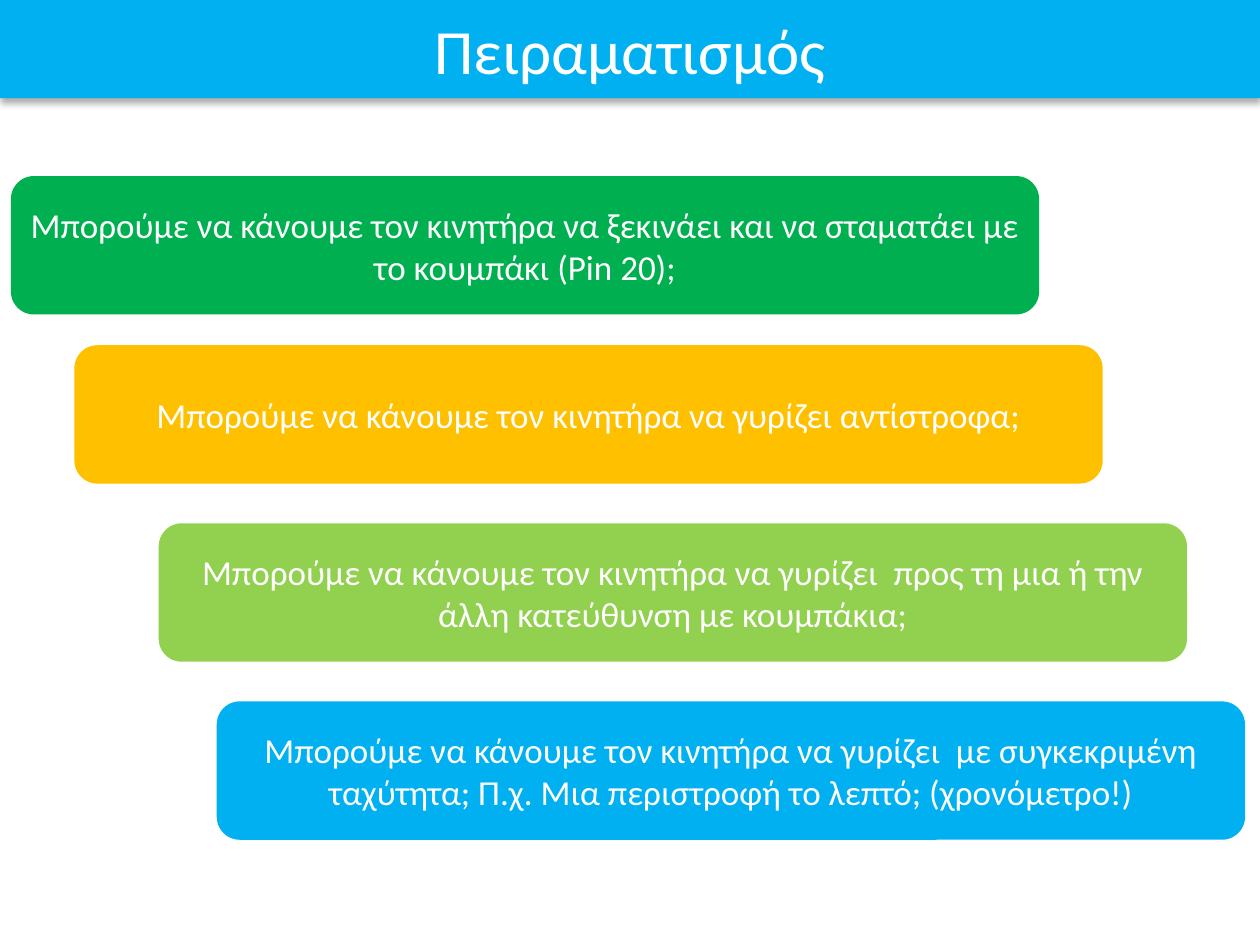
from lxml.etree import SubElement
from pptx import Presentation
from pptx.dml.color import RGBColor
from pptx.enum.shapes import MSO_SHAPE
from pptx.enum.text import MSO_ANCHOR, PP_ALIGN
from pptx.oxml.ns import qn
from pptx.util import Cm, Pt

SLIDE_WIDTH, SLIDE_HEIGHT = 25.4, 19.05
QUESTION_WIDTH, QUESTION_HEIGHT = 20.73, 2.79
QUESTIONS = [
    (0.22, 3.55, "00B050", "Μπορούμε να κάνουμε τον κινητήρα να ξεκινάει και να σταματάει με το κουμπάκι (Pin 20);"),
    (1.5, 6.96, "FFC000", "Μπορούμε να κάνουμε τον κινητήρα να γυρίζει αντίστροφα;"),
    (3.2, 10.55, "92D050", "Μπορούμε να κάνουμε τον κινητήρα να γυρίζει  προς τη μια ή την άλλη κατεύθυνση με κουμπάκια;"),
    (4.37, 14.14, "00B0F0", "Μπορούμε να κάνουμε τον κινητήρα να γυρίζει  με συγκεκριμένη ταχύτητα; Π.χ. Μια περιστροφή το λεπτό; (χρονόμετρο!)"),
]


def color(hex_value):
    """Turn a hex string into a colour."""
    return RGBColor.from_string(hex_value)


def add_panel(slide, kind, box, fill, text, size):
    """Add a filled shape with centred white text in a box given in centimetres."""
    shape = slide.shapes.add_shape(kind, *(Cm(length) for length in box))
    shape.fill.solid()
    shape.fill.fore_color.rgb = color(fill)
    shape.line.fill.background()
    shape.shadow.inherit = False
    frame = shape.text_frame
    frame.word_wrap = True
    frame.vertical_anchor = MSO_ANCHOR.MIDDLE
    paragraph = frame.paragraphs[0]
    paragraph.text = text
    paragraph.alignment = PP_ALIGN.CENTER
    paragraph.font.name = "Calibri"
    paragraph.font.size = Pt(size)
    paragraph.font.color.rgb = color("FFFFFF")
    return shape


def add_title_bar(slide, box):
    """Add the title bar and the soft shadow below it."""
    bar = add_panel(slide, MSO_SHAPE.RECTANGLE, box, "00B0F0", "Πειραματισμός", 36)
    effects = bar.element.spPr.find(qn("a:effectLst"))
    shadow = SubElement(effects, qn("a:outerShdw"), blurRad=str(Pt(3.5)), dist=str(Pt(2.2)),
                        dir="5400000", rotWithShape="0")
    shadow_color = SubElement(shadow, qn("a:srgbClr"), val="000000")
    SubElement(shadow_color, qn("a:alpha"), val="32000")


def add_questions(slide, left, top):
    """Add the staircase of question panels from the given corner."""
    for offset_x, offset_y, fill, text in QUESTIONS:
        box = (left + offset_x, top + offset_y, QUESTION_WIDTH, QUESTION_HEIGHT)
        add_panel(slide, MSO_SHAPE.ROUNDED_RECTANGLE, box, fill, text, 20)


def main():
    """Build and save the slide."""
    presentation = Presentation()
    presentation.slide_width = Cm(SLIDE_WIDTH)
    presentation.slide_height = Cm(SLIDE_HEIGHT)
    slide = presentation.slides.add_slide(presentation.slide_layouts[6])
    add_title_bar(slide, (0, 0, SLIDE_WIDTH, 1.98))
    add_questions(slide, 0, 0)
    presentation.save("out.pptx")


if __name__ == "__main__":
    main()
